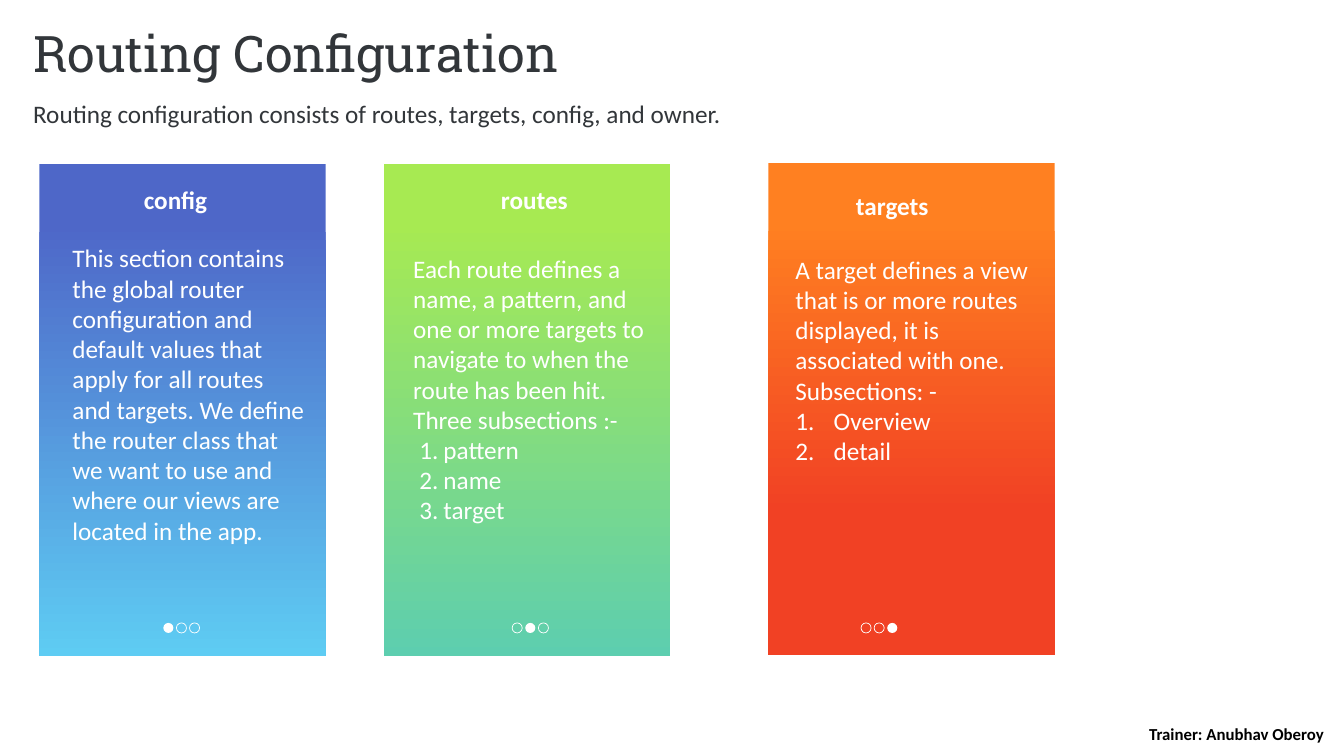
from lxml.etree import SubElement
from pptx import Presentation
from pptx.dml.color import RGBColor
from pptx.enum.shapes import MSO_SHAPE
from pptx.enum.text import MSO_ANCHOR, PP_ALIGN
from pptx.oxml.ns import qn
from pptx.util import Inches, Pt

INK = "32363A"
WHITE = "FFFFFF"
CARD_WIDTH, CARD_HEIGHT = 2.84, 4.88
DOT_SIZE, DOT_STEP, DOT_TOP = 0.1, 0.13, 6.18
LIST_HANGING = 0.38

CARDS = [
    {
        "left": 0.39, "top": 1.63, "stops": [(0.12, "4E67C8"), (1, "5ECCF3")],
        "heading": "config", "heading_at": (0.48, 1.78, 2.52, 0.4),
        "body_at": (0.62, 2.36, 2.52, 3.13),
        "body": ["This section contains the global router configuration and default "
                 "values that apply for all routes and targets. We define the router "
                 "class that we want to use and where our views are located in the app."],
        "items": [], "item_margin": 0, "item_hanging": 0, "dots_left": 1.62,
    },
    {
        "left": 3.81, "top": 1.63, "stops": [(0.12, "A7EA52"), (1, "5DCEAF")],
        "heading": "routes", "heading_at": (4.04, 1.78, 2.52, 0.4),
        "body_at": (4, 2.46, 2.52, 2.83),
        "body": ["Each route defines a name, a pattern, and one or more targets to "
                 "navigate to when the route has been hit.",
                 "Three subsections :-"],
        "items": ["pattern", "name", "target"],
        "item_margin": 0.3, "item_hanging": 0.24, "dots_left": 5.08,
    },
    {
        "left": 7.62, "top": 1.62, "stops": [(0.12, "FF8021"), (0.71, "F14124")],
        "heading": "targets", "heading_at": (8.02, 1.84, 1.66, 0.4),
        "body_at": (7.79, 2.47, 2.52, 2.52),
        "body": ["A target defines a view that is or more routes displayed, it is "
                 "associated with one.",
                 "Subsections: -"],
        "items": ["Overview", "detail"],
        "item_margin": LIST_HANGING, "item_hanging": LIST_HANGING, "dots_left": 8.54,
    },
]


def color(value):
    return RGBColor.from_string(value)


def write(box, lines, fill=WHITE, anchor=MSO_ANCHOR.TOP, align=PP_ALIGN.LEFT, **font):
    """Fill a box with one paragraph per line and return the paragraphs."""
    frame = box.text_frame
    frame.word_wrap = True
    frame.vertical_anchor = anchor
    settings = {"name": "Calibri", "size": Pt(18), **font}
    for index, line in enumerate(lines):
        para = frame.add_paragraph() if index else frame.paragraphs[0]
        para.alignment = align
        span = para.add_run()
        span.text = line
        span.font.color.rgb = color(fill)
        for key, value in settings.items():
            setattr(span.font, key, value)
    return frame.paragraphs


deck = Presentation()
deck.slide_width, deck.slide_height = Inches(13.33), Inches(7.5)
page = deck.slides.add_slide(deck.slide_layouts[5])
shapes = page.shapes

title = shapes.title
title_place = {"left": 0.23, "top": 0.17, "width": 13.14, "height": 0.78}
for key, value in title_place.items():
    setattr(title, key, Inches(value))
write(title, ["Routing Configuration"], INK, MSO_ANCHOR.MIDDLE,
      name="Roboto Slab", size=Pt(36))[0].line_spacing = 0.9

subtitle = shapes.add_textbox(*map(Inches, (0.23, 0.93, 7.11, 0.4)))
write(subtitle, ["Routing configuration consists of routes, targets, config, and owner."],
      INK, MSO_ANCHOR.MIDDLE)

trainer = shapes.add_textbox(*map(Inches, (11.05, 7.17, 2.43, 0.22)))
write(trainer, ["Trainer: Anubhav Oberoy"], "000000", MSO_ANCHOR.MIDDLE,
      PP_ALIGN.CENTER, size=Pt(12), bold=True)

for number, card in enumerate(CARDS):
    panel = shapes.add_shape(MSO_SHAPE.RECTANGLE, Inches(card["left"]), Inches(card["top"]),
                             Inches(CARD_WIDTH), Inches(CARD_HEIGHT))
    panel.shadow.inherit = False
    panel.line.fill.background()
    panel.fill.gradient()
    panel.fill.gradient_angle = 270
    for stop, (position, shade) in zip(panel.fill.gradient_stops, card["stops"]):
        stop.position = position
        stop.color.rgb = color(shade)

    body = shapes.add_textbox(*map(Inches, card["body_at"]))
    paras = write(body, card["body"] + card["items"])
    for para in paras[len(card["body"]):]:
        properties = para._p.get_or_add_pPr()
        properties.set("marL", str(Inches(card["item_margin"])))
        properties.set("indent", str(-Inches(card["item_hanging"])))
        SubElement(properties, qn("a:buFont"), typeface="+mj-lt")
        SubElement(properties, qn("a:buAutoNum"), type="arabicPeriod")

    heading = shapes.add_textbox(*map(Inches, card["heading_at"]))
    write(heading, [card["heading"]], anchor=MSO_ANCHOR.BOTTOM,
          align=PP_ALIGN.CENTER, bold=True)

    for position in range(len(CARDS)):
        dot = shapes.add_shape(MSO_SHAPE.OVAL, Inches(card["dots_left"] + position * DOT_STEP),
                               Inches(DOT_TOP), Inches(DOT_SIZE), Inches(DOT_SIZE))
        dot.shadow.inherit = False
        if position == number:
            dot.fill.solid()
            dot.fill.fore_color.rgb = color(WHITE)
            dot.line.fill.background()
        else:
            dot.fill.background()
            dot.line.color.rgb = color(WHITE)
            dot.line.width = Pt(0.5)

deck.save("out.pptx")
